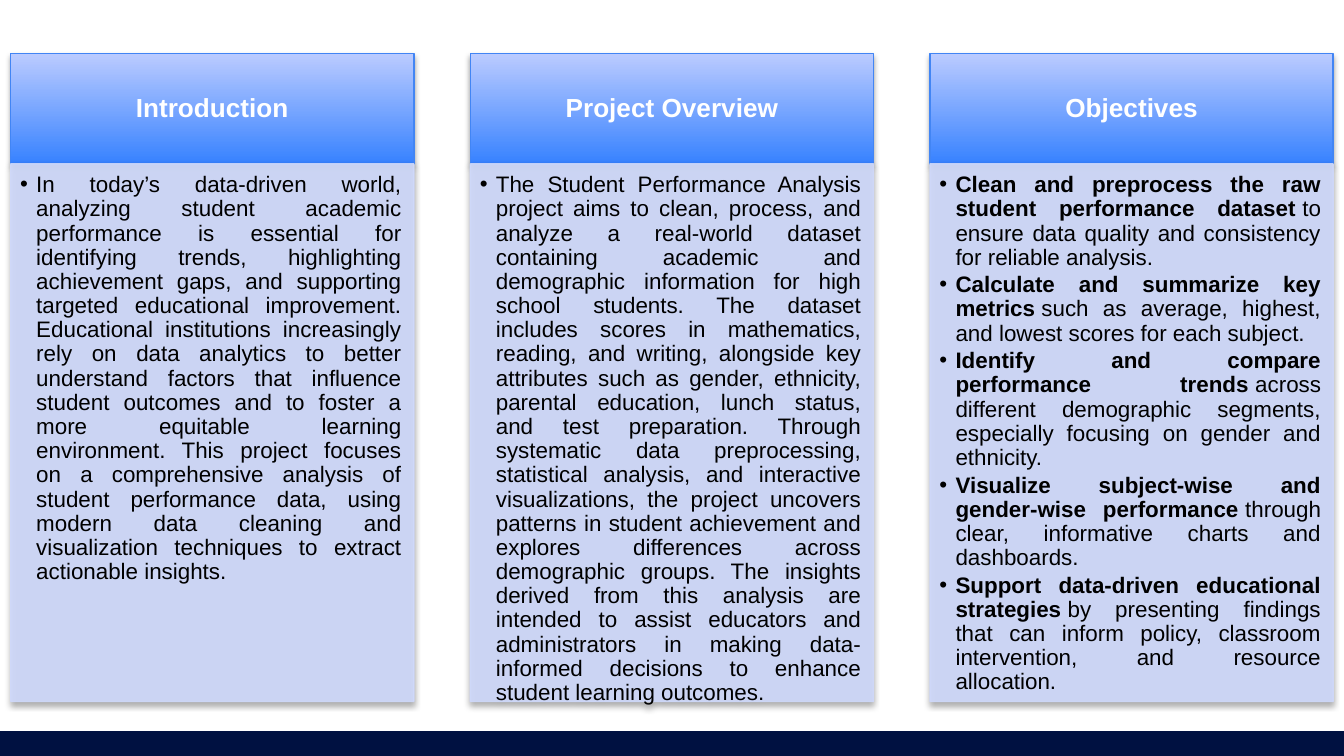
import pptx
import pptx.dml.color
import pptx.enum.shapes
import pptx.enum.text
import pptx.oxml
import pptx.oxml.ns
import pptx.util
from dataclasses import dataclass

Inches = pptx.util.Inches
Pt = pptx.util.Pt
ALIGN = pptx.enum.text.PP_ALIGN
ANCHOR = pptx.enum.text.MSO_ANCHOR
NAMESPACE = pptx.oxml.ns.nsdecls("a")
HARD_SPACE = chr(160)  # no-break space between bold lead and plain text


@dataclass(frozen=True)
class Theme:
    font: str = "Arial"
    title_size: int = 14
    body_size: int = 12
    title_color: str = "FFFFFF"
    body_color: str = "000000"
    header_bottom: str = "3782FF"
    header_top: str = "BBCBFF"
    header_line: str = "4285F4"
    panel: str = "CFD9FB"
    panel_opacity: int = 90
    footer: str = "001141"
    line_width: float = 0.75


THEME = Theme()

# Geometry in inches, on a 16:9 slide
SLIDE_WIDTH = 10
SLIDE_HEIGHT = SLIDE_WIDTH * 9 / 16
COLUMN_LEFT, COLUMN_STEP, COLUMN_WIDTH = 0.08, 3.42, 3
HEADER_TOP, HEADER_HEIGHT, PANEL_HEIGHT = 0.4, 0.82, 4
FOOTER_HEIGHT = 0.18

# Each column: title, then bullets as (bold lead, plain text)
COLUMNS = [
    ("Introduction", [
        ("", "In today’s data-driven world, analyzing student academic performance is "
             "essential for identifying trends, highlighting achievement gaps, and "
             "supporting targeted educational improvement. Educational institutions "
             "increasingly rely on data analytics to better understand factors that "
             "influence student outcomes and to foster a more equitable learning "
             "environment. This project focuses on a comprehensive analysis of student "
             "performance data, using modern data cleaning and visualization techniques "
             "to extract actionable insights."),
    ]),
    ("Project Overview", [
        ("", "The Student Performance Analysis project aims to clean, process, and "
             "analyze a real-world dataset containing academic and demographic "
             "information for high school students. The dataset includes scores in "
             "mathematics, reading, and writing, alongside key attributes such as "
             "gender, ethnicity, parental education, lunch status, and test "
             "preparation. Through systematic data preprocessing, statistical analysis, "
             "and interactive visualizations, the project uncovers patterns in student "
             "achievement and explores differences across demographic groups. The "
             "insights derived from this analysis are intended to assist educators and "
             "administrators in making data-informed decisions to enhance student "
             "learning outcomes."),
    ]),
    ("Objectives", [
        ("Clean and preprocess the raw student performance dataset",
         "to ensure data quality and consistency for reliable analysis."),
        ("Calculate and summarize key metrics",
         "such as average, highest, and lowest scores for each subject."),
        ("Identify and compare performance trends",
         "across different demographic segments, especially focusing on gender and "
         "ethnicity."),
        ("Visualize subject-wise and gender-wise performance",
         "through clear, informative charts and dashboards."),
        ("Support data-driven educational strategies",
         "by presenting findings that can inform policy, classroom intervention, and "
         "resource allocation."),
    ]),
]


def rgb(color):
    return pptx.dml.color.RGBColor.from_string(color)


def apply_format(target, values):
    for name, value in values.items():
        setattr(target, name, value)


def append_xml(parent, xml):
    parent.append(pptx.oxml.parse_xml(xml))


def add_rectangle(slide, left, top, width, height, line_color):
    shape = slide.shapes.add_shape(
        pptx.enum.shapes.MSO_SHAPE.RECTANGLE,
        Inches(left), Inches(top), Inches(width), Inches(height))
    shape.shadow.inherit = False
    shape.line.color.rgb = rgb(line_color)
    shape.line.width = Pt(THEME.line_width)
    return shape


def fill_solid(shape, color):
    shape.fill.solid()
    shape.fill.fore_color.rgb = rgb(color)


def add_shadow(shape):
    effects = shape._element.spPr.find(pptx.oxml.ns.qn("a:effectLst"))
    append_xml(effects, (
        f'<a:outerShdw {NAMESPACE} blurRad="{Pt(3.1)}" dist="{Pt(1.8)}" dir="5400000" '
        'rotWithShape="0"><a:srgbClr val="000000"><a:alpha val="35000"/></a:srgbClr>'
        '</a:outerShdw>'))


def set_opacity(shape, percent):
    for color in list(shape._element.spPr.iter(pptx.oxml.ns.qn("a:srgbClr"))):
        append_xml(color, f'<a:alpha {NAMESPACE} val="{percent * 1000}"/>')


def set_frame(shape, anchor, left, top, right, bottom):
    apply_format(shape.text_frame, {
        "word_wrap": True, "vertical_anchor": anchor,
        "margin_left": Inches(left), "margin_top": Inches(top),
        "margin_right": Inches(right), "margin_bottom": Inches(bottom)})
    return shape.text_frame


def format_paragraph(paragraph, alignment, space_after):
    apply_format(paragraph, {"alignment": alignment, "line_spacing": 0.9})
    append_xml(paragraph._p.get_or_add_pPr(), (
        f'<a:spcAft {NAMESPACE}><a:spcPct val="{space_after * 1000}"/></a:spcAft>'))


def add_bullet(paragraph):
    properties = paragraph._p.get_or_add_pPr()
    for name, value in {"marL": Inches(0.12), "indent": Inches(-0.12), "lvl": 1}.items():
        properties.set(name, str(value))
    for xml in (
            f'<a:buClr {NAMESPACE}><a:srgbClr val="{THEME.body_color}"/></a:buClr>',
            f'<a:buFont {NAMESPACE} typeface="{THEME.font}"/>',
            f'<a:buChar {NAMESPACE} char="•"/>'):
        append_xml(properties, xml)


def add_run(paragraph, text, size, color, bold):
    run = paragraph.add_run()
    run.text = text
    apply_format(run.font, {"name": THEME.font, "size": Pt(size), "bold": bold})
    run.font.color.rgb = rgb(color)


def add_header(slide, left, title):
    shape = add_rectangle(slide, left, HEADER_TOP, COLUMN_WIDTH, HEADER_HEIGHT,
                          THEME.header_line)
    shape.fill.gradient()
    shape.fill.gradient_angle = 90
    for stop, color in zip(shape.fill.gradient_stops,
                           (THEME.header_bottom, THEME.header_top)):
        stop.color.rgb = rgb(color)
    add_shadow(shape)
    frame = set_frame(shape, ANCHOR.MIDDLE, 0.11, 0.06, 0.11, 0.06)
    paragraph = frame.paragraphs[0]
    format_paragraph(paragraph, ALIGN.CENTER, 35)
    add_run(paragraph, title, THEME.title_size, THEME.title_color, True)


def add_panel(slide, left, bullets):
    shape = add_rectangle(slide, left, HEADER_TOP + HEADER_HEIGHT, COLUMN_WIDTH,
                          PANEL_HEIGHT, THEME.panel)
    fill_solid(shape, THEME.panel)
    set_opacity(shape, THEME.panel_opacity)
    add_shadow(shape)
    frame = set_frame(shape, ANCHOR.TOP, 0.07, 0.07, 0.09, 0.1)
    for index, (lead, text) in enumerate(bullets):
        paragraph = frame.add_paragraph() if index else frame.paragraphs[0]
        format_paragraph(paragraph, ALIGN.JUSTIFY, 15)
        add_bullet(paragraph)
        if lead:
            add_run(paragraph, lead + HARD_SPACE, THEME.body_size, THEME.body_color, True)
        add_run(paragraph, text, THEME.body_size, THEME.body_color, False)


def main():
    presentation = pptx.Presentation()
    presentation.slide_width = Inches(SLIDE_WIDTH)
    presentation.slide_height = Inches(SLIDE_HEIGHT)
    slide = presentation.slides.add_slide(presentation.slide_layouts[6])

    # Three columns, each a header above a text panel
    for index, (title, bullets) in enumerate(COLUMNS):
        left = COLUMN_LEFT + index * COLUMN_STEP
        add_header(slide, left, title)
        add_panel(slide, left, bullets)

    # Footer bar
    footer = add_rectangle(slide, 0, SLIDE_HEIGHT - FOOTER_HEIGHT, SLIDE_WIDTH,
                           FOOTER_HEIGHT, THEME.footer)
    fill_solid(footer, THEME.footer)

    presentation.save("out.pptx")


if __name__ == "__main__":
    main()
